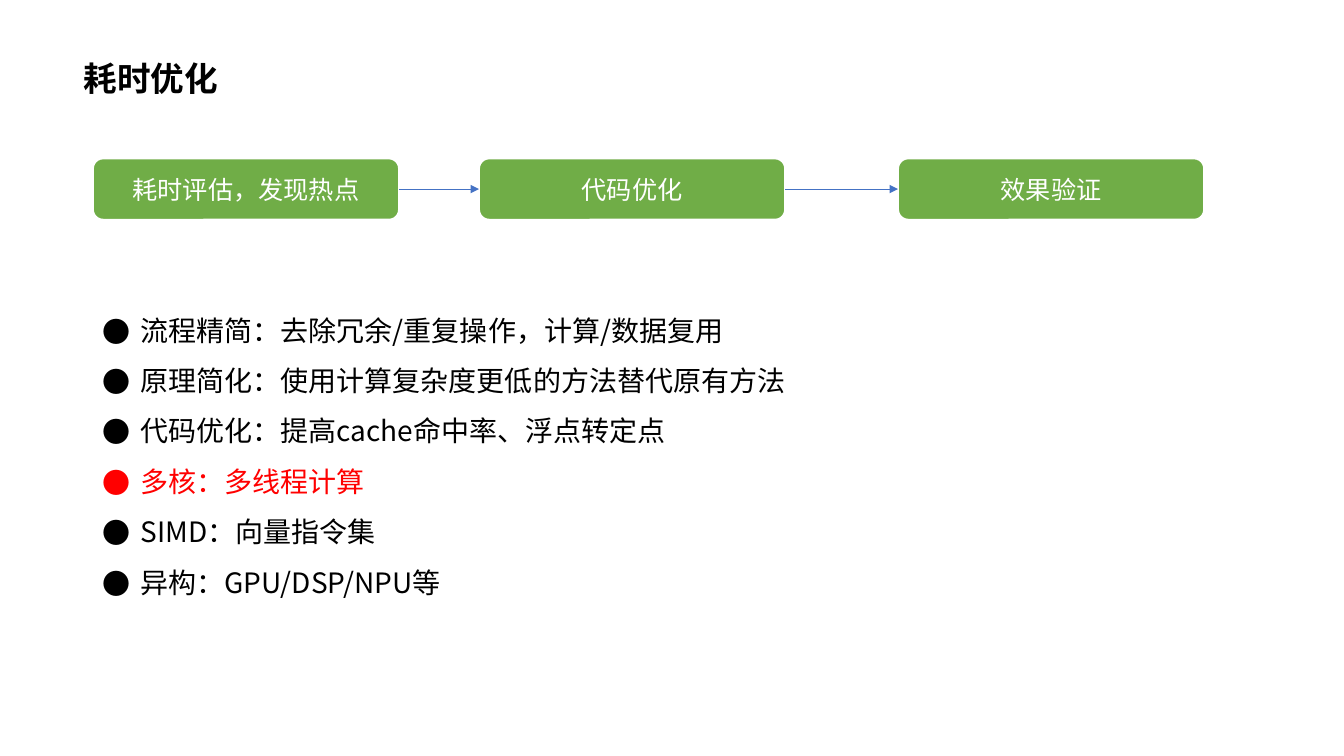
from lxml import etree
from pptx import Presentation
from pptx.dml.color import RGBColor
from pptx.enum.lang import MSO_LANGUAGE_ID
from pptx.enum.shapes import MSO_CONNECTOR, MSO_SHAPE
from pptx.enum.text import MSO_ANCHOR, MSO_AUTO_SIZE, PP_ALIGN
from pptx.oxml.ns import qn
from pptx.util import Cm, Pt

ROUNDED, STRAIGHT = MSO_SHAPE.ROUNDED_RECTANGLE, MSO_CONNECTOR.STRAIGHT
TOP, MIDDLE = MSO_ANCHOR.TOP, MSO_ANCHOR.MIDDLE
LEFT, CENTER = PP_ALIGN.LEFT, PP_ALIGN.CENTER
NO_FIT = MSO_AUTO_SIZE.NONE
CHINESE = MSO_LANGUAGE_ID.SIMPLIFIED_CHINESE

FONT = "Noto Sans CJK SC"
BLACK, WHITE, RED, GREEN, BLUE = "000000", "FFFFFF", "FF0000", "70AD47", "4472C4"

TITLE = "耗时优化"
STEPS = [("耗时评估，发现热点", 2.34), ("代码优化", 12.07), ("效果验证", 22.63)]
METHODS = [
    ("流程精简：去除冗余/重复操作，计算/数据复用", BLACK),
    ("原理简化：使用计算复杂度更低的方法替代原有方法", BLACK),
    ("代码优化：提高cache命中率、浮点转定点", BLACK),
    ("多核：多线程计算", RED),
    ("SIMD：向量指令集", BLACK),
    ("异构：GPU/DSP/NPU等", BLACK),
]
STEP_TOP, STEP_W, STEP_H = 3.99, 7.72, 1.55
INDENT = Cm(0.95)


def rgb(value):
    return RGBColor.from_string(value)


def apply(target, **formats):
    for name, value in formats.items():
        setattr(target, name, value)


def write(p, text, size, color, **formats):
    r = p.add_run()
    r.text = text
    apply(r.font, size=Pt(size), name=FONT, language_id=CHINESE, **formats)
    r.font.color.rgb = rgb(color)
    etree.SubElement(r.font._element, qn("a:ea"), typeface=FONT)


def add_bullet(p):
    pPr = p._p.get_or_add_pPr()
    pPr.set("marL", str(INDENT))
    pPr.set("indent", str(-INDENT))
    etree.SubElement(pPr, qn("a:buFont"), typeface=FONT)
    etree.SubElement(pPr, qn("a:buChar"), char="●")


def add_step(s, text, left):
    sp = s.shapes.add_shape(ROUNDED, Cm(left), Cm(STEP_TOP), Cm(STEP_W), Cm(STEP_H))
    sp.shadow.inherit = False
    sp.fill.solid()
    sp.fill.fore_color.rgb = rgb(GREEN)
    sp.line.color.rgb = rgb(WHITE)
    sp.line.width = Pt(1.5)
    tf = sp.text_frame
    apply(tf, word_wrap=True, vertical_anchor=MIDDLE)
    p = tf.paragraphs[0]
    p.alignment = CENTER
    write(p, text, 18, WHITE)


def add_arrow(s, start, end):
    y = Cm(STEP_TOP + STEP_H / 2)
    arrow = s.shapes.add_connector(STRAIGHT, Cm(start), y, Cm(end), y)
    arrow.line.color.rgb = rgb(BLUE)
    arrow.line.width = Pt(0.5)
    etree.SubElement(arrow.line._get_or_add_ln(), qn("a:tailEnd"), type="triangle")
    etree.SubElement(arrow._element.spPr, qn("a:effectLst"))


prs = Presentation()
apply(prs, slide_width=Cm(33.87), slide_height=Cm(19.05))
s = prs.slides.add_slide(prs.slide_layouts[5])

title = s.shapes.title
apply(title, left=Cm(1.85), top=Cm(1.32), width=Cm(6.78), height=Cm(1.27))
apply(title.text_frame, word_wrap=True, vertical_anchor=TOP, auto_size=NO_FIT)
p = title.text_frame.paragraphs[0]
p.alignment = LEFT
write(p, TITLE, 24, BLACK, bold=True)

for text, left in STEPS:
    add_step(s, text, left)
for (_, left), (_, following) in zip(STEPS, STEPS[1:]):
    add_arrow(s, left + STEP_W, following)

tf = s.shapes.add_textbox(Cm(2.34), Cm(7.34), Cm(28.45), Cm(7.8)).text_frame
tf.word_wrap = True
for i, (text, color) in enumerate(METHODS):
    p = tf.add_paragraph() if i else tf.paragraphs[0]
    p.line_spacing = 1.5
    add_bullet(p)
    write(p, text, 20, color)

prs.save("out.pptx")
